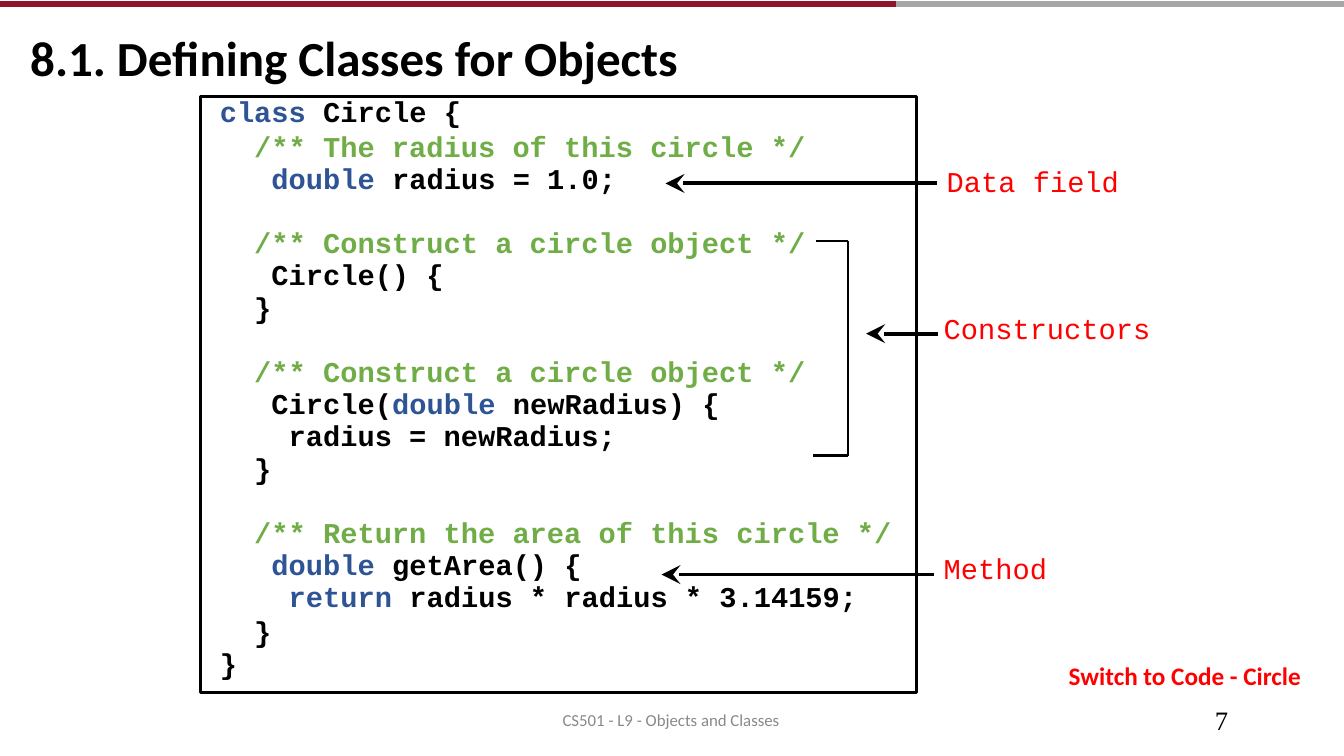
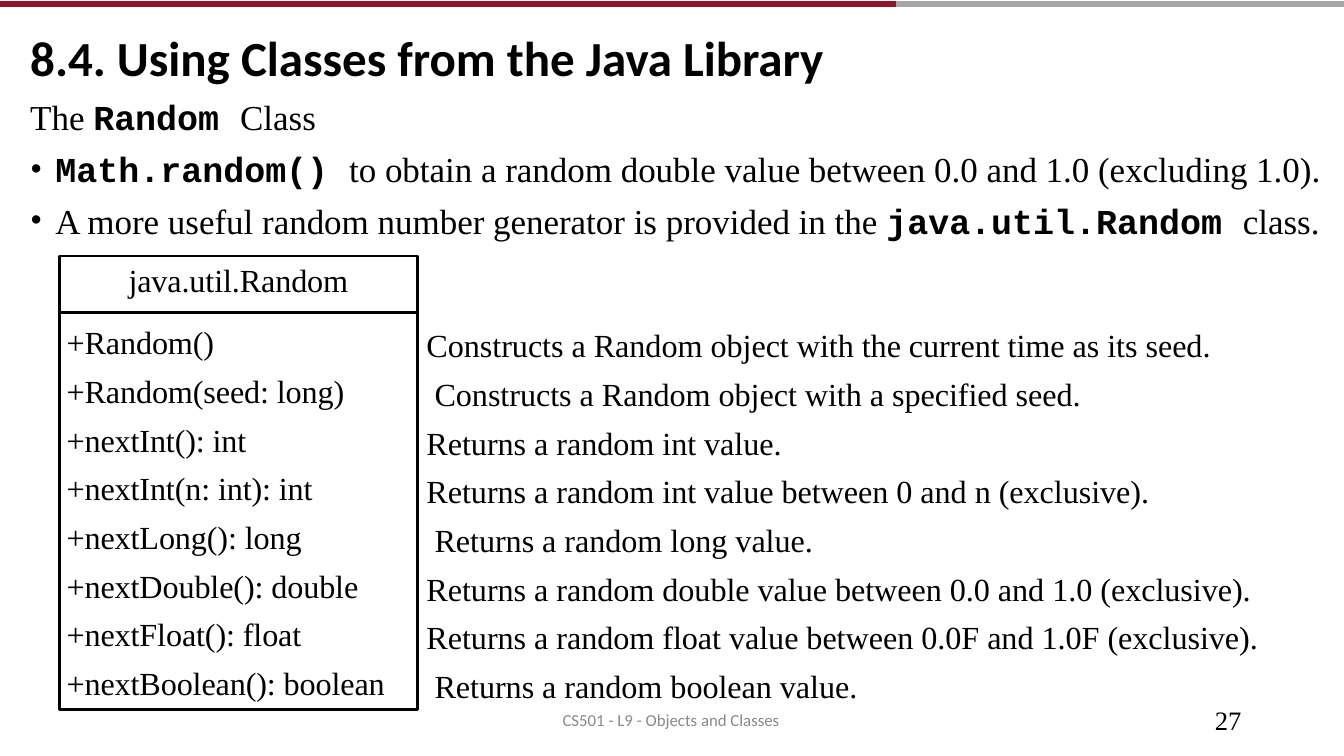
from itertools import pairwise

from lxml.etree import SubElement
from pptx import Presentation
from pptx.dml.color import RGBColor
from pptx.enum.shapes import MSO_CONNECTOR, MSO_SHAPE
from pptx.enum.text import MSO_ANCHOR, PP_ALIGN
from pptx.oxml.ns import qn
from pptx.util import Inches, Pt

COLORS = {
    "ink": "000000", "keyword": "2F5496", "comment": "70AD47", "accent": "FF0000",
    "footer": "898989", "crimson": "90152A", "gray": "A6A6A6",
}
SANS, SERIF, MONO = "Calibri", "Times New Roman", "Courier New"
RUN_STYLES = {
    "keyword": {"color": "keyword"},
    "comment": {"color": "comment"},
    "mono": {"font": MONO, "bold": True},
}
BANDS = [(0, 8.89, "crimson"), (8.89, 13.33, "gray")]
FOOTER = "CS501 - L9 - Objects and Classes"

# Each line: runs, then the space before it in points
CODE_PITCH = 23
CODE = [
    ([("class", "keyword"), " Circle {"], 0),
    ([("  /** The radius of this circle */", "comment")], 2),
    ([("   double", "keyword"), " radius = 1.0;"], 0),
    ([("  /** Construct a circle object */", "comment")], CODE_PITCH),
    (["   Circle() {"], 0),
    (["  }"], 0),
    ([("  /** Construct a circle object */", "comment")], CODE_PITCH),
    (["   Circle(", ("double", "keyword"), " newRadius) {"], 0),
    (["    radius = newRadius;"], 0),
    (["  }"], 0),
    ([("  /** Return the area of this circle */", "comment")], CODE_PITCH),
    ([("   double", "keyword"), " getArea() {"], 0),
    ([("    return", "keyword"), " radius * radius * 3.14159;"], 0),
    (["  }"], 2),
    (["}"], 0),
]
# Label, its left and top, then the arrow's tail, tip and height
CALLOUTS = [
    ("Data field", 9.39, 1.63, 9.29, 6.6, 1.82),
    ("Constructors", 9.36, 3.08, 9.3, 8.59, 3.31),
    ("Method", 9.36, 5.46, 9.26, 6.56, 5.7),
]
CONSTRUCTOR_BRACKET = [(8.09, 2.39), (8.41, 2.39), (8.41, 4.52), (8.06, 4.52)]

INTRO = [
    {"runs": ["The ", ("Random ", "mono"), "Class"]},
    {"runs": [("Math.random() ", "mono"),
              "to obtain a random double value between 0.0 and 1.0 (excluding 1.0)."],
     "bullet": True, "before": 7},
    {"runs": ["A more useful random number generator is provided in the ",
              ("java.util.Random ", "mono"), "class."],
     "bullet": True, "before": 7},
]
CLASS_NAME = "java.util.Random"
# Method, description, and the description's extra indent
METHODS = [
    ("+Random()", "Constructs a Random object with the current time as its seed.", 0),
    ("+Random(seed: long)", "Constructs a Random object with a specified seed.", 0.08),
    ("+nextInt(): int", "Returns a random int value.", 0),
    ("+nextInt(n: int): int", "Returns a random int value between 0 and n (exclusive).", 0),
    ("+nextLong(): long", "Returns a random long value.", 0.08),
    ("+nextDouble(): double",
     "Returns a random double value between 0.0 and 1.0 (exclusive).", 0),
    ("+nextFloat(): float",
     "Returns a random float value between 0.0F and 1.0F (exclusive).", 0),
    ("+nextBoolean(): boolean", "Returns a random boolean value.", 0.08),
]
METHOD_PITCH = 34.8


def rgb(name):
    return RGBColor.from_string(COLORS[name])


def write_text(shape, paragraphs, *, size, font=SERIF, color="ink", bold=False, tracking=0,
               pitch=None, align=PP_ALIGN.LEFT, inset=(0, 0)):
    """Fill a shape; a paragraph is a string or a dict of runs, before, indent and bullet."""
    frame = shape.text_frame
    frame.word_wrap = True
    frame.vertical_anchor = MSO_ANCHOR.TOP
    frame.margin_left, frame.margin_top = map(Inches, inset)
    frame.margin_right = frame.margin_bottom = 0
    for number, content in enumerate(paragraphs):
        if isinstance(content, str):
            content = {"runs": [content]}
        paragraph = frame.add_paragraph() if number else frame.paragraphs[0]
        properties = paragraph._p.get_or_add_pPr()
        if content.get("bullet"):
            properties.set("marL", str(Inches(0.25)))
            properties.set("indent", str(-Inches(0.25)))
            SubElement(properties, qn("a:buFont"), typeface=SERIF)
            SubElement(properties, qn("a:buChar"), char="•")
        elif content.get("indent"):
            properties.set("marL", str(Inches(content["indent"])))
        paragraph.alignment = align
        if content.get("before"):
            paragraph.space_before = Pt(content["before"])
        if pitch:
            paragraph.line_spacing = Pt(pitch)
        for piece in content["runs"]:
            words, style = (piece, None) if isinstance(piece, str) else piece
            look = {"font": font, "color": color, "bold": bold, **RUN_STYLES.get(style, {})}
            run = paragraph.add_run()
            run.text = words
            run.font.name = look["font"]
            run.font.size = Pt(size)
            run.font.bold = look["bold"]
            run.font.color.rgb = rgb(look["color"])
            if tracking:
                run._r.get_or_add_rPr().set("spc", str(round(tracking * 100)))


def add_text(slide, box, paragraphs, **look):
    write_text(slide.shapes.add_textbox(*map(Inches, box)), paragraphs, **look)


def add_frame(slide, box, width):
    frame = slide.shapes.add_shape(MSO_SHAPE.RECTANGLE, *map(Inches, box))
    frame.shadow.inherit = False
    frame.fill.background()
    frame.line.color.rgb = rgb("ink")
    frame.line.width = Pt(width)
    return frame


def add_line(slide, start, end, width, color="ink", arrow=False):
    line = slide.shapes.add_connector(MSO_CONNECTOR.STRAIGHT, *map(Inches, (*start, *end)))
    line.line.color.rgb = rgb(color)
    line.line.width = Pt(width)
    if arrow:
        SubElement(line.line._get_or_add_ln(), qn("a:tailEnd"),
                   type="stealth", w="lg", len="lg")
    SubElement(line._element.spPr, qn("a:effectLst"))


def add_base_slide(deck, title, page):
    """Add a slide with the bands, title, footer and page number."""
    slide = deck.slides.add_slide(deck.slide_layouts[6])
    for start, end, color in BANDS:
        add_line(slide, (start, 0.04), (end, 0.04), 4, color)
    add_text(slide, (0.3, 0.27, 12, 0.61), [title], size=35, font=SANS, bold=True,
             tracking=-0.04)
    add_text(slide, (5.58, 7.04, 2.4, 0.23), [FOOTER], size=12, font=SANS, color="footer")
    add_text(slide, (12.05, 6.98, 0.5, 0.32), [page], size=19)
    return slide


def build_class_definition(deck):
    slide = add_base_slide(deck, "8.1. Defining Classes for Objects", "7")
    add_frame(slide, (1.99, 0.96, 7.1, 5.91), 1.92)
    add_text(slide, (2.18, 0.95, 6.88, 5.85),
             [{"runs": runs, "before": before} for runs, before in CODE],
             size=20.5, font=MONO, bold=True, pitch=CODE_PITCH)

    for label, left, top, tail, tip, y in CALLOUTS:
        add_text(slide, (left, top, 2.5, 0.37), [label], size=20.5, font=MONO, color="accent")
        add_line(slide, (tail, y), (tip, y), 2.75, arrow=True)
    for start, end in pairwise(CONSTRUCTOR_BRACKET):
        add_line(slide, start, end, 1.92)

    add_text(slide, (10.6, 6.55, 2.6, 0.3), ["Switch to Code - Circle"],
             size=18, font=SANS, color="accent", bold=True)


def build_random_class(deck):
    slide = add_base_slide(deck, "8.4. Using Classes from the Java Library", "27")
    add_text(slide, (0.3, 0.95, 13, 1.4), INTRO, size=25)

    left, width, header_top, methods_top = 0.59, 3.55, 2.54, 3.1
    header = add_frame(slide, (left, header_top, width, methods_top - header_top), 2.05)
    write_text(header, [CLASS_NAME], size=23, tracking=-0.1, align=PP_ALIGN.CENTER,
               inset=(0, 0.04))
    methods = add_frame(slide, (left, methods_top, width, 3.94), 2.05)
    write_text(methods, [method for method, _, _ in METHODS], size=23, tracking=-0.1,
               pitch=METHOD_PITCH, inset=(0.07, 0))
    add_text(slide, (4.23, 3.13, 8.9, 3.9),
             [{"runs": [words], "indent": indent} for _, words, indent in METHODS],
             size=23, tracking=-0.07, pitch=METHOD_PITCH)


def main():
    deck = Presentation()
    deck.slide_width, deck.slide_height = Inches(13.33), Inches(7.5)
    build_class_definition(deck)
    build_random_class(deck)
    deck.save("out.pptx")


if __name__ == "__main__":
    main()
